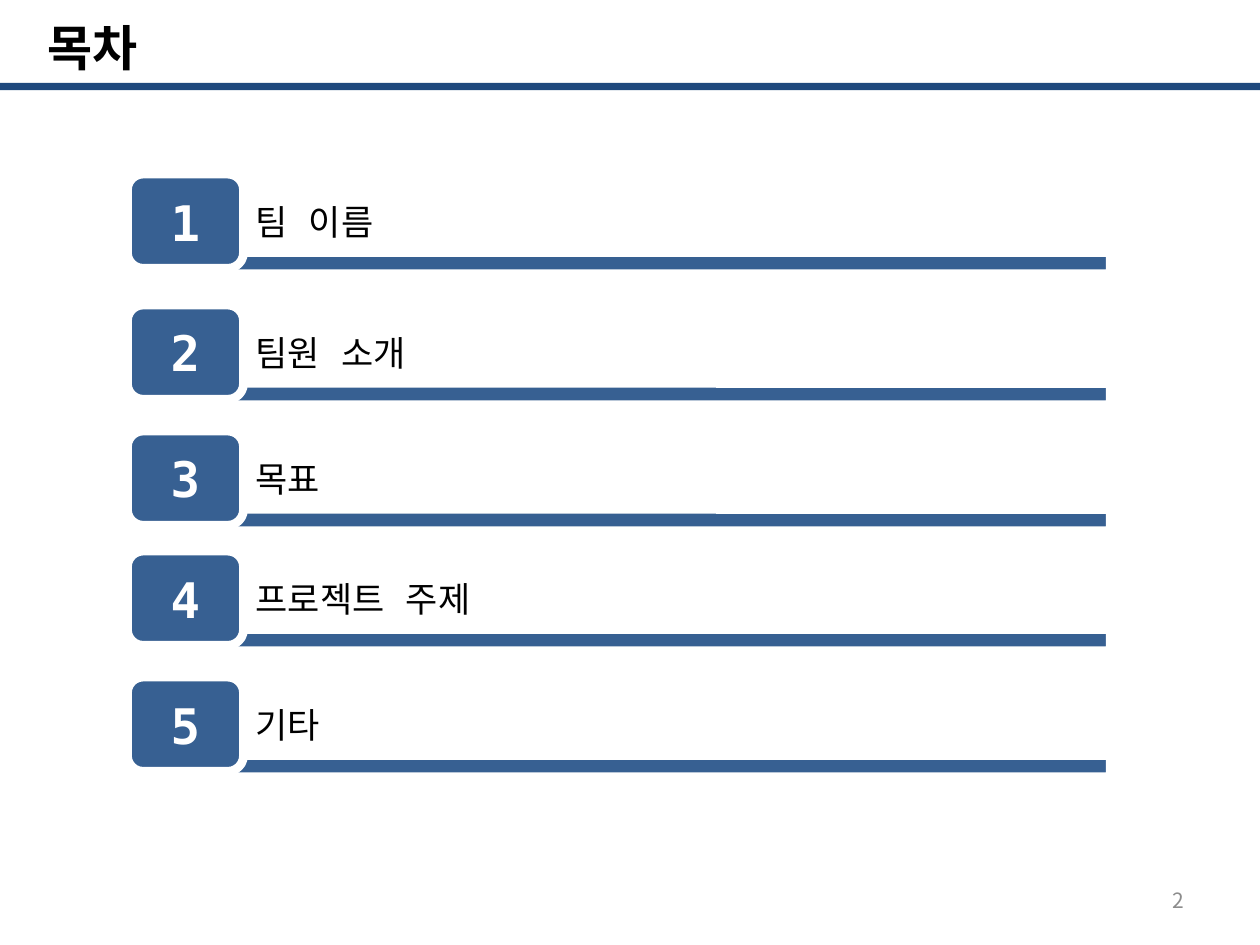
from lxml.etree import SubElement
from pptx import Presentation
from pptx.dml.color import RGBColor
from pptx.enum.shapes import MSO_SHAPE
from pptx.enum.text import MSO_ANCHOR, MSO_AUTO_SIZE, PP_ALIGN
from pptx.oxml.ns import qn
from pptx.util import Cm, Pt

NAVY = RGBColor(0x1F, 0x49, 0x7D)
BLUE = RGBColor(0x37, 0x60, 0x92)
WHITE = RGBColor(0xFF, 0xFF, 0xFF)
BLACK = RGBColor(0x00, 0x00, 0x00)
GRAY = RGBColor(0x8C, 0x8C, 0x8C)
SANS = "Noto Sans CJK KR"
MONO = "DejaVu Sans Mono"

TITLE = {"name": SANS, "size": Pt(28), "bold": True}
NUMBER = {"name": MONO, "size": Pt(28), "bold": True}
LABEL = {"name": MONO, "size": Pt(20), "bold": False}
PAGE = {"name": SANS, "size": Pt(12), "bold": False}

ITEMS = [
    (3.51, "팀 이름"),
    (6.15, "팀원 소개"),
    (8.69, "목표"),
    (11.11, "프로젝트 주제"),
    (13.65, "기타"),
]


def write(sp, text, fmt, color, align, wrap=True):
    """Put one formatted line of text into a shape."""
    tf = sp.text_frame
    frame = {
        "word_wrap": wrap,
        "auto_size": MSO_AUTO_SIZE.NONE,
        "vertical_anchor": MSO_ANCHOR.MIDDLE,
    }
    for key, value in frame.items():
        setattr(tf, key, value)
    p = tf.paragraphs[0]
    p.alignment = align
    r = p.add_run()
    r.text = text
    for key, value in fmt.items():
        setattr(r.font, key, value)
    r.font.color.rgb = color
    SubElement(r.font._element, qn("a:ea"), typeface=fmt["name"])


def add_title(s, text, x, y, w, h):
    """Place and fill the title placeholder."""
    sp = s.shapes.title
    for key, value in zip(("left", "top", "width", "height"), (x, y, w, h)):
        setattr(sp, key, Cm(value))
    write(sp, text, TITLE, BLACK, PP_ALIGN.CENTER, wrap=False)


def add_text(s, text, x, y, w, h, fmt, color, align):
    """Add a text box."""
    sp = s.shapes.add_textbox(Cm(x), Cm(y), Cm(w), Cm(h))
    write(sp, text, fmt, color, align)


def add_block(s, kind, x, y, w, h, color, outline=None):
    """Add a filled shape with an optional thick outline."""
    sp = s.shapes.add_shape(kind, Cm(x), Cm(y), Cm(w), Cm(h))
    sp.shadow.inherit = False
    sp.fill.solid()
    sp.fill.fore_color.rgb = color
    if outline is None:
        sp.line.fill.background()
    else:
        sp.line.color.rgb = outline
        sp.line.width = Pt(5)


def add_item(s, number, top, label):
    """Add one numbered row of the contents."""
    rounded = MSO_SHAPE.ROUNDED_RECTANGLE
    add_block(s, rounded, 4.7, top + 1.58, 17.68, 0.43, BLUE, WHITE)
    add_block(s, rounded, 2.57, top, 2.34, 1.9, BLUE, WHITE)
    add_text(s, str(number), 2.57, top + 0.23, 2.34, 1.45,
             NUMBER, WHITE, PP_ALIGN.CENTER)
    add_text(s, label, 4.9, top + 0.39, 17.02, 1.12,
             LABEL, BLACK, PP_ALIGN.LEFT)


def main():
    """Build the contents slide."""
    prs = Presentation()
    prs.slide_width, prs.slide_height = Cm(25.4), Cm(19.05)
    s = prs.slides.add_slide(prs.slide_layouts[5])
    add_block(s, MSO_SHAPE.RECTANGLE, 0, 1.67, 25.43, 0.15, NAVY)
    add_title(s, "목차", 0.41, 0.23, 2.9, 1.45)
    for number, (top, label) in enumerate(ITEMS, 1):
        add_item(s, number, top, label)
    add_text(s, "2", 18.2, 17.65, 5.93, 1.01, PAGE, GRAY, PP_ALIGN.RIGHT)
    prs.save("out.pptx")


main()
